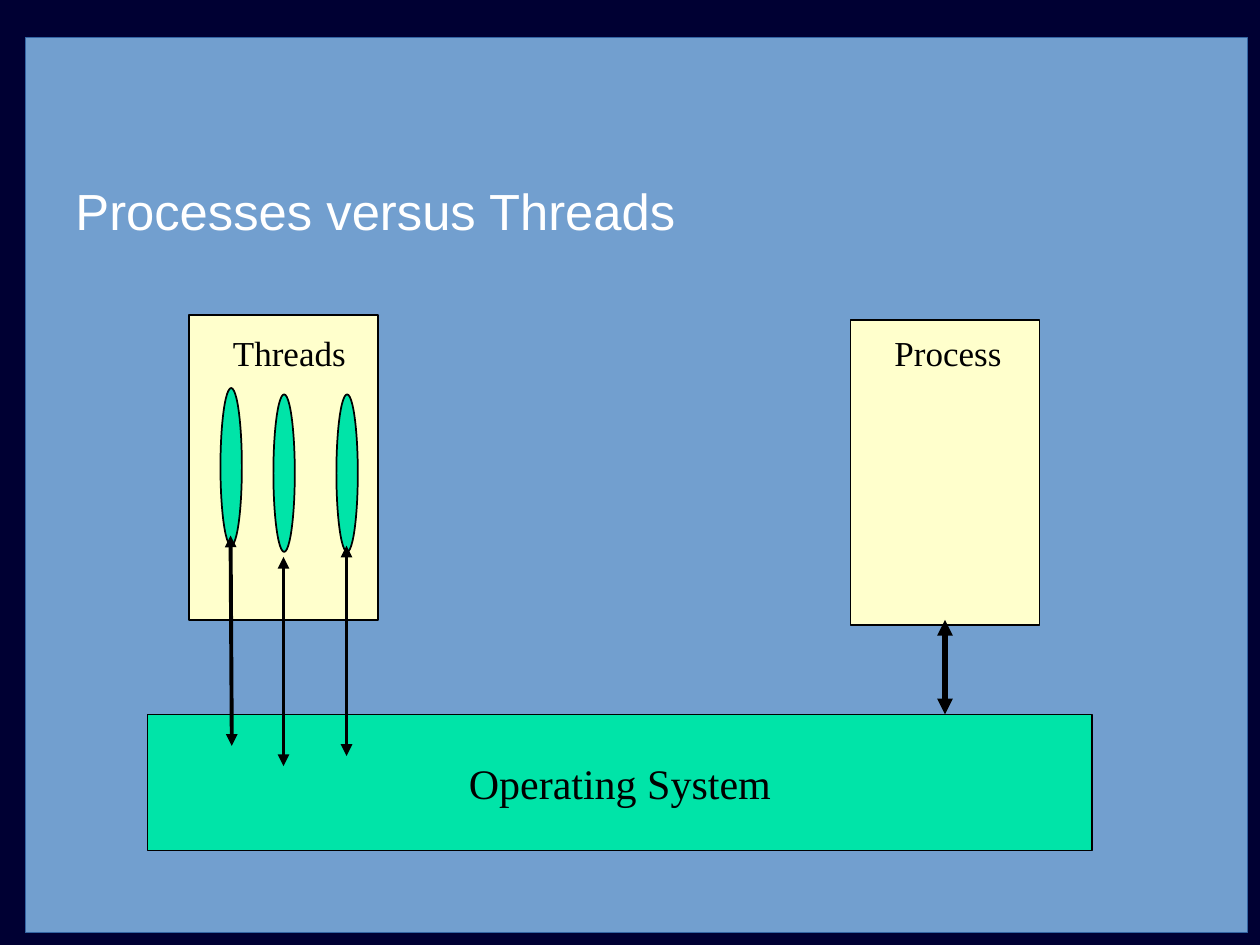
from dataclasses import dataclass

from lxml import etree
from pptx import Presentation
from pptx.dml.color import RGBColor
from pptx.enum import shapes, text
from pptx.oxml import ns
from pptx.util import Inches, Pt


@dataclass(frozen=True)
class Theme:
    backdrop: RGBColor = RGBColor(0x00, 0x00, 0x33)
    panel: RGBColor = RGBColor(0x72, 0x9F, 0xCF)
    panel_edge: RGBColor = RGBColor(0x34, 0x65, 0xA4)
    cream: RGBColor = RGBColor(0xFF, 0xFF, 0xCC)
    green: RGBColor = RGBColor(0x00, 0xE4, 0xA8)
    white: RGBColor = RGBColor(0xFF, 0xFF, 0xFF)
    black: RGBColor = RGBColor(0x00, 0x00, 0x00)
    sans: str = "Arial"
    serif: str = "Times New Roman"
    title_size: int = 29
    system_size: int = 24
    label_size: int = 20


theme = Theme()
prs = Presentation()
prs.slide_width, prs.slide_height = Inches(10), Inches(7.5)
slide = prs.slides.add_slide(prs.slide_layouts[6])
slide.background.fill.solid()
slide.background.fill.fore_color.rgb = theme.backdrop


def write(frame, wording, size, font=theme.serif, color=theme.black, wrap=False,
          align=text.PP_ALIGN.LEFT, anchor=text.MSO_ANCHOR.TOP, spacing=None):
    frame.word_wrap = wrap
    frame.vertical_anchor = anchor
    paragraph = frame.paragraphs[0]
    paragraph.alignment = align
    paragraph.line_spacing = spacing
    run = paragraph.add_run()
    run.text = wording
    run.font.size = Pt(size)
    run.font.name = font
    run.font.color.rgb = color


def draw(kind, left, top, width, height, fill, edge=theme.black, weight=1):
    shape = slide.shapes.add_shape(
        kind, Inches(left), Inches(top), Inches(width), Inches(height))
    shape.shadow.inherit = False
    shape.fill.solid()
    shape.fill.fore_color.rgb = fill
    shape.line.color.rgb = edge
    shape.line.width = Pt(weight)
    return shape


RECT = shapes.MSO_SHAPE.RECTANGLE
OVAL = shapes.MSO_SHAPE.OVAL

draw(RECT, 0.2, 0.3, 9.7, 7.1, theme.panel, theme.panel_edge, 0.75)

title = slide.shapes.add_textbox(Inches(0.5), Inches(1.42), Inches(9.29), Inches(0.76))
write(title.text_frame, "Processes versus Threads", theme.title_size,
      font=theme.sans, color=theme.white, wrap=True, spacing=0.93)

operating_system = draw(RECT, 1.17, 5.67, 7.5, 1.08, theme.green)
write(operating_system.text_frame, "Operating System", theme.system_size,
      align=text.PP_ALIGN.CENTER, anchor=text.MSO_ANCHOR.MIDDLE)

for left, top in [(1.5, 2.5), (6.75, 2.54)]:
    draw(RECT, left, top, 1.5, 2.42, theme.cream)

for left, top in [(1.75, 3.08), (2.17, 3.13), (2.67, 3.13)]:
    draw(OVAL, left, top, 0.17, 1.25, theme.green)

for wording, left, width in [("Threads", 1.75, 1.11), ("Process", 7, 1.05)]:
    label = slide.shapes.add_textbox(
        Inches(left), Inches(2.58), Inches(width), Inches(0.44))
    write(label.text_frame, wording, theme.label_size)
    label.text_frame.auto_size = text.MSO_AUTO_SIZE.SHAPE_TO_FIT_TEXT

system_calls = [
    (1.83, 4.25, 1.84, 5.92, 2.25),
    (2.25, 4.42, 2.25, 6.08, 2.25),
    (2.75, 4.33, 2.75, 6, 2.25),
    (7.5, 4.92, 7.5, 5.67, 3),
]
for start_x, start_y, end_x, end_y, weight in system_calls:
    arrow = slide.shapes.add_connector(
        shapes.MSO_CONNECTOR.STRAIGHT,
        Inches(start_x), Inches(start_y), Inches(end_x), Inches(end_y))
    arrow.line.color.rgb = theme.black
    arrow.line.width = Pt(weight)
    outline = arrow.line._get_or_add_ln()
    for end in ("a:headEnd", "a:tailEnd"):
        etree.SubElement(outline, ns.qn(end), type="triangle")
    etree.SubElement(arrow._element.spPr, ns.qn("a:effectLst"))

prs.save("out.pptx")
